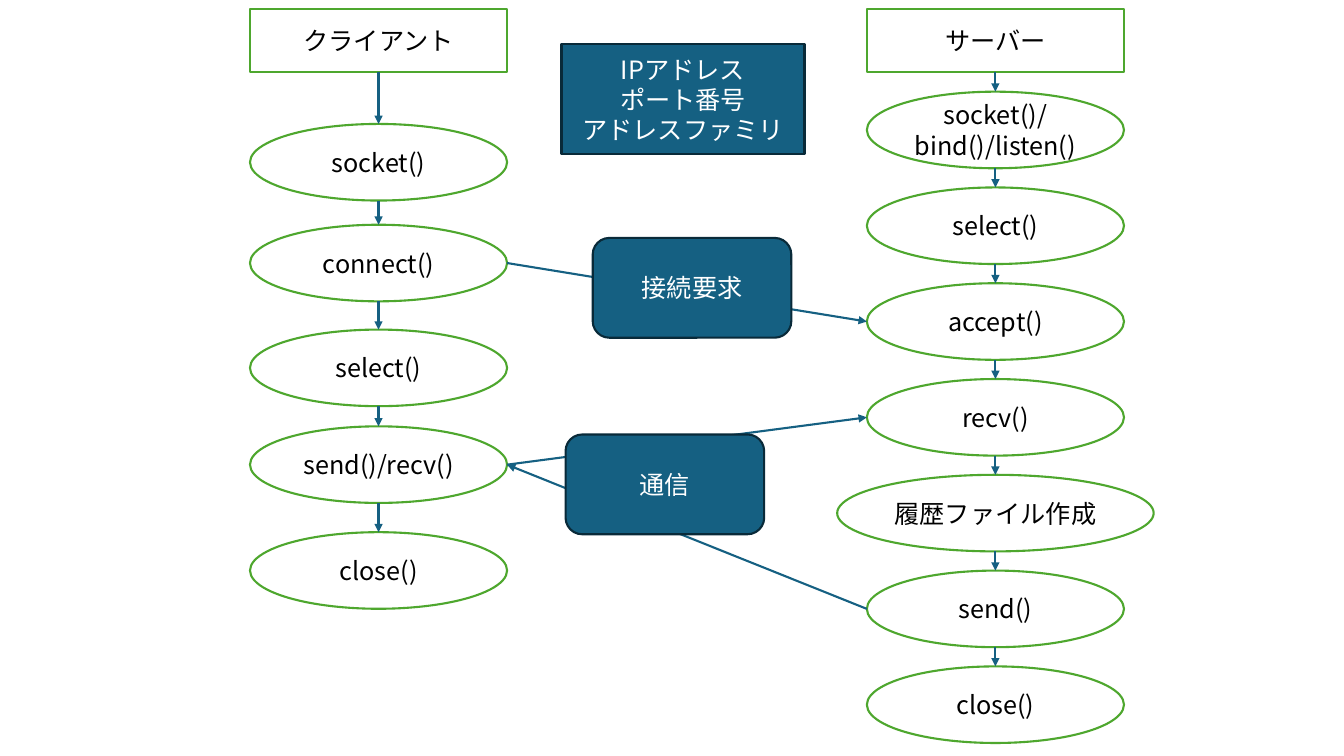
import pptx
import pptx.util
import pptx.dml.color
import pptx.enum.shapes
import pptx.enum.text
import pptx.oxml
import pptx.oxml.ns

W, H = pptx.util.Inches(13.333), pptx.util.Inches(7.5)
FONT = "Noto Sans CJK JP"
COLORS = {"white": "FFFFFF", "black": "000000", "green": "4EA72E", "teal": "156082", "navy": "092A39"}
SHAPE = pptx.enum.shapes.MSO_SHAPE

LANE_W, HEAD_TOP, HEAD_H, STEP_H = 19.13, 1.2, 8.27, 10.13
CLIENT_X, SERVER_X = 18.6, 64.5
CLIENT_STEPS = ["socket()", "connect()", "select()", "send()/recv()", "close()"]
CLIENT_TOPS = [16.4, 29.73, 43.6, 56.4, 70.4]
SERVER_STEPS = ["socket()/bind()/listen()", "select()", "accept()", "recv()",
                "履歴ファイル作成", "send()", "close()"]
SERVER_TOPS = [12.13 + 12.67 * i for i in range(len(SERVER_STEPS))]
WIDE_STEPS = {"履歴ファイル作成": 23.55}


def color(name):
    return pptx.dml.color.RGBColor.from_string(COLORS[name])


def across(percent):
    return round(W * percent / 100)


def down(percent):
    return round(H * percent / 100)


def add_box(s, kind, x, y, w, h, text, fill="white", line="green", ink="black"):
    sp = s.shapes.add_shape(kind, across(x), down(y), across(w), down(h))
    sp.shadow.inherit = False
    sp.fill.solid()
    sp.fill.fore_color.rgb = color(fill)
    sp.line.color.rgb = color(line)
    sp.line.width = pptx.util.Pt(1.5)
    tf = sp.text_frame
    tf.word_wrap = True
    tf.vertical_anchor = pptx.enum.text.MSO_ANCHOR.MIDDLE
    tf.text = text
    for p in tf.paragraphs:
        p.alignment = pptx.enum.text.PP_ALIGN.CENTER
        for r in p.runs:
            r.font.size = pptx.util.Pt(18)
            r.font.name = FONT
            r.font.color.rgb = color(ink)
            ea = pptx.oxml.parse_xml(f'<a:ea {pptx.oxml.ns.nsdecls("a")} typeface="{FONT}"/>')
            r.font._element.find(pptx.oxml.ns.qn("a:latin")).addnext(ea)
    return sp


def add_note(s, kind, x, y, w, h, text):
    return add_box(s, kind, x, y, w, h, text, "teal", "navy", "white")


def add_arrow(s, start, end):
    c = s.shapes.add_connector(pptx.enum.shapes.MSO_CONNECTOR.STRAIGHT, *start, *end)
    c.line.color.rgb = color("teal")
    c.line.width = pptx.util.Pt(1.5)
    ns = pptx.oxml.ns.nsdecls("a")
    c.line._get_or_add_ln().append(pptx.oxml.parse_xml(f'<a:tailEnd {ns} type="triangle"/>'))
    c._element.spPr.append(pptx.oxml.parse_xml(f"<a:effectLst {ns}/>"))


def side(sp, dx, dy):
    return sp.left + round(sp.width * dx), sp.top + round(sp.height * dy)


def add_lane(s, x, heading, steps, tops):
    lane = [add_box(s, SHAPE.RECTANGLE, x, HEAD_TOP, LANE_W, HEAD_H, heading)]
    for text, top in zip(steps, tops):
        w = WIDE_STEPS.get(text, LANE_W)
        lane.append(add_box(s, SHAPE.OVAL, x - (w - LANE_W) / 2, top, w, STEP_H, text))
    for upper, lower in zip(lane, lane[1:]):
        add_arrow(s, side(upper, 0.5, 1), side(lower, 0.5, 0))
    return dict(zip(steps, lane[1:]))


def main():
    prs = pptx.Presentation()
    prs.slide_width, prs.slide_height = W, H
    s = prs.slides.add_slide(prs.slide_layouts[6])

    client = add_lane(s, CLIENT_X, "クライアント", CLIENT_STEPS, CLIENT_TOPS)
    server = add_lane(s, SERVER_X, "サーバー", SERVER_STEPS, SERVER_TOPS)

    exchange = side(client["send()/recv()"], 1, 0.5)
    add_arrow(s, side(client["connect()"], 1, 0.5), side(server["accept()"], 0, 0.5))
    add_arrow(s, exchange, side(server["recv()"], 0, 0.5))
    add_arrow(s, side(server["send()"], 0, 0.5), exchange)

    add_note(s, SHAPE.ROUNDED_RECTANGLE, 44.1, 31.47, 14.78, 13.2, "接続要求")
    add_note(s, SHAPE.ROUNDED_RECTANGLE, 42.08, 57.47, 14.78, 13.2, "通信")
    add_note(s, SHAPE.RECTANGLE, 41.78, 5.87, 18.08, 14.53,
             "IPアドレス\nポート番号\nアドレスファミリ")
    prs.save("out.pptx")


if __name__ == "__main__":
    main()
